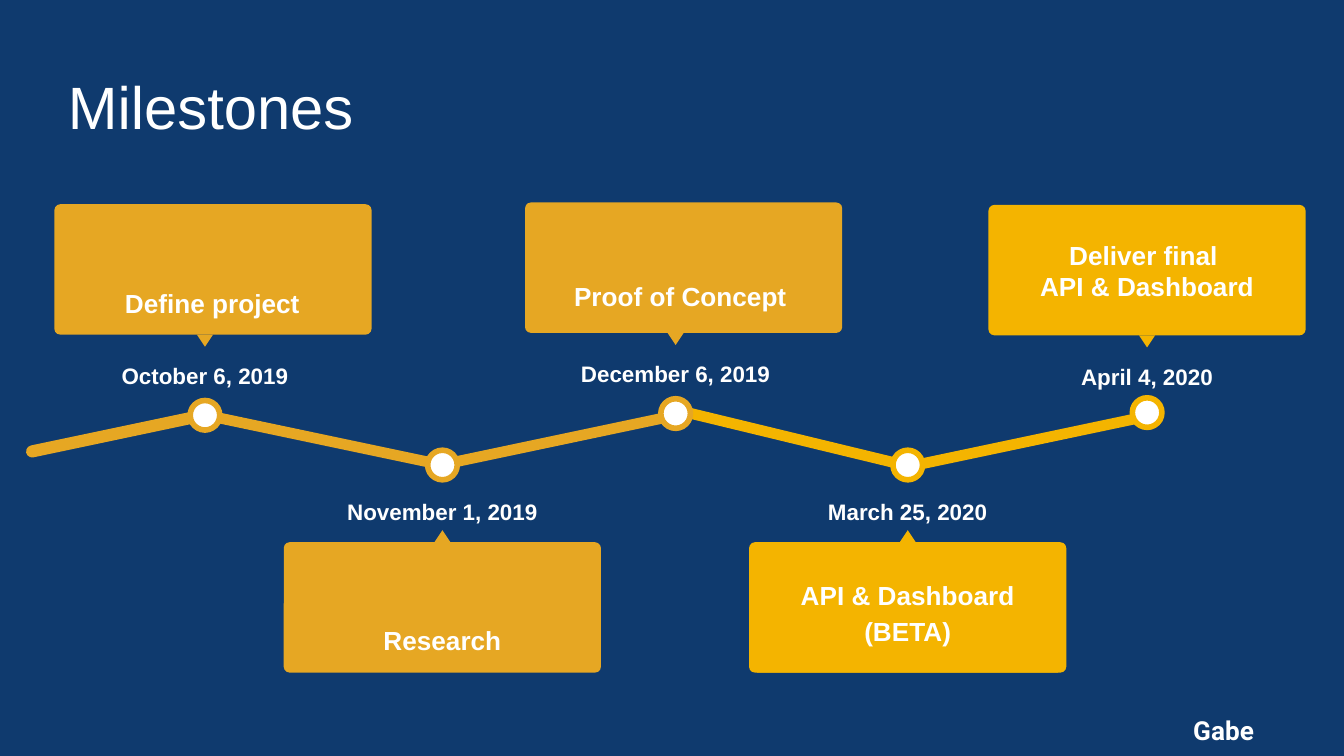
from dataclasses import dataclass

import pptx
import pptx.dml.color
import pptx.enum.shapes
import pptx.enum.text
import pptx.util

SHAPE = pptx.enum.shapes.MSO_SHAPE
ANCHOR = pptx.enum.text.MSO_ANCHOR
ALIGN = pptx.enum.text.PP_ALIGN

SLIDE_WIDTH = pptx.util.Inches(10)
SLIDE_HEIGHT = SLIDE_WIDTH * 9 // 16
CELL = SLIDE_WIDTH / 100  # square grid, 100 columns across the slide


@dataclass(frozen=True)
class Theme:
    background: str = "0F3A6E"
    text: str = "FFFFFF"
    done: str = "E6A723"
    planned: str = "F4B400"
    font: str = "Arial"
    author_font: str = "Roboto"
    title_size: int = 32
    label_size: int = 14
    date_size: int = 12
    node_outline: int = 3


THEME = Theme()


@dataclass(frozen=True)
class Box:
    """A region in grid cells."""
    left: float
    top: float
    width: float
    height: float

    def emu(self):
        return [round(n * CELL) for n in (self.left, self.top, self.width, self.height)]


@dataclass(frozen=True)
class Milestone:
    label: str
    date: str
    color: str
    node_x: float
    card: Box
    label_inset: tuple
    label_height: float = 8.6
    above: bool = True
    node_drop: float = 15.7
    anchor: ANCHOR = ANCHOR.BOTTOM
    spacing: float = 1.15


CARD_WIDTH, CARD_HEIGHT = 23.6, 9.7
UPPER, LOWER = 15.2, 40.35
MILESTONES = [
    Milestone("Define project", "October 6, 2019", THEME.done, 15.25,
              Box(4.05, UPPER, CARD_WIDTH, CARD_HEIGHT), (0.55, 0.9)),
    Milestone("Research", "November 1, 2019", THEME.done, 32.92,
              Box(21.12, LOWER, CARD_WIDTH, CARD_HEIGHT), (0.6, 0.85),
              above=False, node_drop=-5.75),
    Milestone("Proof of Concept", "December 6, 2019", THEME.done, 50.27,
              Box(39.07, UPPER - 0.13, CARD_WIDTH, CARD_HEIGHT), (0.35, 0.53)),
    Milestone("API & Dashboard (BETA)", "March 25, 2020", THEME.planned, 67.54,
              Box(55.74, LOWER, CARD_WIDTH, CARD_HEIGHT), (0.6, 0.5),
              label_height=9.2, above=False, node_drop=-5.75, anchor=ANCHOR.MIDDLE),
    Milestone("Deliver final \nAPI & Dashboard", "April 4, 2020", THEME.planned, 85.35,
              Box(73.55, UPPER + 0.05, CARD_WIDTH, CARD_HEIGHT), (0.6, 0.6),
              node_drop=15.45, anchor=ANCHOR.MIDDLE, spacing=1.0),
]

# Box of each stretch of the path before it is turned, its angle and its colour
PATH = [
    (Box(1.8, 31.8, 13.9, 0.9), -11.9, THEME.done),
    (Box(14.6, 32.3, 18.6, 0.8), 11.9, THEME.done),
    (Box(50.1, 32.3, 18.6, 0.8), 13.6, THEME.planned),
    (Box(32.5, 32.3, 18.6, 0.8), -11.9, THEME.done),
    (Box(67.9, 32.3, 18.6, 0.8), -11.9, THEME.planned),
]


def rgb(color):
    return pptx.dml.color.RGBColor.from_string(color)


def write(holder, text, size, font=THEME.font, bold=True, align=ALIGN.CENTER,
          anchor=ANCHOR.TOP, spacing=1.0):
    """Fill a text holder, one paragraph per line of text."""
    frame = holder.text_frame
    frame.word_wrap = True
    frame.auto_size = pptx.enum.text.MSO_AUTO_SIZE.NONE
    frame.vertical_anchor = anchor
    for side in ("left", "top", "right", "bottom"):
        setattr(frame, f"margin_{side}", round(CELL))
    frame.text = text
    for paragraph in frame.paragraphs:
        paragraph.alignment = align
        paragraph.line_spacing = spacing
        for run in paragraph.runs:
            run.font.name = font
            run.font.size = pptx.util.Pt(size)
            run.font.bold = bold
            run.font.color.rgb = rgb(THEME.text)


def add_solid(shapes, preset, box, color, rounding=None, angle=0):
    solid = shapes.add_shape(preset, *box.emu())
    solid.shadow.inherit = False
    solid.fill.solid()
    solid.fill.fore_color.rgb = rgb(color)
    solid.line.fill.background()
    solid.rotation = angle
    if rounding is not None:
        solid.adjustments[0] = rounding
    return solid


def place_title(slide, box):
    title = slide.shapes.title
    title.left, title.top, title.width, title.height = box.emu()
    write(title, "Milestones", THEME.title_size, bold=False,
          align=ALIGN.LEFT, anchor=ANCHOR.BOTTOM)


def place_path(slide):
    for box, angle, color in PATH:
        add_solid(slide.shapes, SHAPE.ROUNDED_RECTANGLE, box, color, 0.5, angle)


def place_milestone(slide, milestone):
    """Card with its label, pointer, date and node, measured from the card's box."""
    shapes = slide.shapes.add_group_shape().shapes
    card, x, color = milestone.card, milestone.node_x, milestone.color
    node_y = card.top + milestone.node_drop
    if milestone.above:
        pointer_y, date_y = card.top + 9.7, card.top + 10.45
    else:
        pointer_y, date_y = card.top - 0.9, card.top - 4.6

    add_solid(shapes, SHAPE.ROUNDED_RECTANGLE, card, color, 0.045)
    add_solid(shapes, SHAPE.ISOSCELES_TRIANGLE, Box(x - 0.6, pointer_y, 1.2, 0.9),
              color, angle=180 if milestone.above else 0)

    inset_x, inset_y = milestone.label_inset
    label_box = Box(card.left + inset_x, card.top + inset_y, 22.4, milestone.label_height)
    label = add_solid(shapes, SHAPE.RECTANGLE, label_box, color)
    write(label, milestone.label, THEME.label_size,
          anchor=milestone.anchor, spacing=milestone.spacing)

    date = shapes.add_textbox(*Box(x - 11.2, date_y, 22.4, 3.8).emu())
    write(date, milestone.date, THEME.date_size, spacing=1.15)

    node = add_solid(shapes, SHAPE.OVAL, Box(x - 1.1, node_y - 1.1, 2.2, 2.2), THEME.text)
    node.line.color.rgb = rgb(color)
    node.line.width = pptx.util.Pt(THEME.node_outline)


def place_author(slide, box):
    author = slide.shapes.add_textbox(*box.emu())
    write(author, "Gabe", THEME.label_size, font=THEME.author_font,
          align=ALIGN.LEFT, anchor=ANCHOR.MIDDLE)


def main():
    deck = pptx.Presentation()
    deck.slide_width, deck.slide_height = SLIDE_WIDTH, SLIDE_HEIGHT
    slide = deck.slides.add_slide(deck.slide_layouts.get_by_name("Title Only"))
    slide.background.fill.solid()
    slide.background.fill.fore_color.rgb = rgb(THEME.background)

    place_title(slide, Box(4.05, 4.9, 48.3, 6.6))
    place_path(slide)
    for milestone in MILESTONES:
        place_milestone(slide, milestone)
    place_author(slide, Box(87.8, 53.1, 12.2, 2.5))
    deck.save("out.pptx")


if __name__ == "__main__":
    main()
